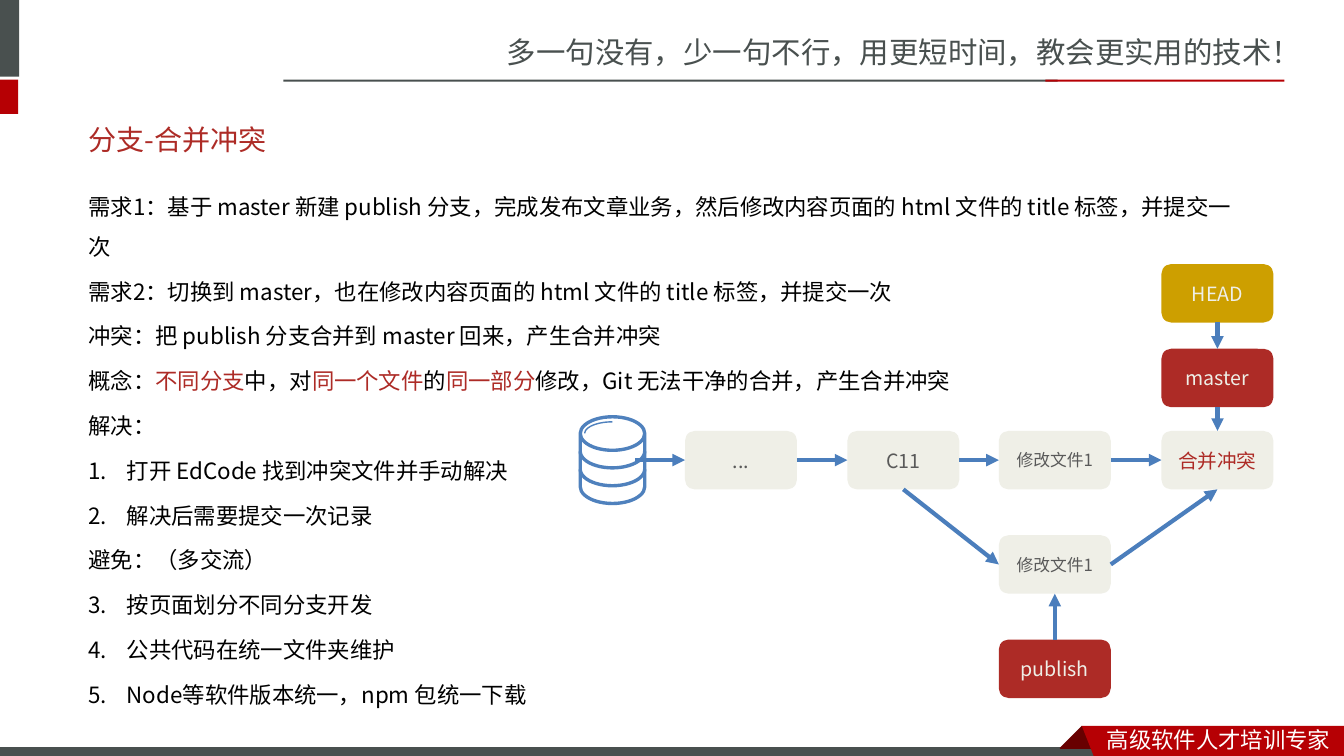
from math import cos, pi, sin
from typing import NamedTuple, Optional

from lxml import etree
from pptx import Presentation
from pptx.dml.color import RGBColor
from pptx.enum.shapes import MSO_CONNECTOR, MSO_SHAPE
from pptx.enum.text import MSO_ANCHOR, PP_ALIGN
from pptx.oxml.ns import qn
from pptx.util import Inches, Pt

RECT, ROUND, CAN = MSO_SHAPE.RECTANGLE, MSO_SHAPE.ROUNDED_RECTANGLE, MSO_SHAPE.CAN
STRAIGHT = MSO_CONNECTOR.STRAIGHT
TOP, MIDDLE = MSO_ANCHOR.TOP, MSO_ANCHOR.MIDDLE
CENTER = PP_ALIGN.CENTER
NORTH, WEST, SOUTH, EAST = range(4)

BLACK = RGBColor(0x00, 0x00, 0x00)
WHITE = RGBColor(0xFF, 0xFF, 0xFF)
SLATE = RGBColor(0x49, 0x50, 0x4F)
RED = RGBColor(0xB6, 0x00, 0x04)
MAROON = RGBColor(0x68, 0x00, 0x00)
BRICK = RGBColor(0xAD, 0x2B, 0x26)
GOLD = RGBColor(0xCD, 0x9F, 0x00)
CREAM = RGBColor(0xEF, 0xEF, 0xE7)
GRAY = RGBColor(0x59, 0x59, 0x59)
BLUE = RGBColor(0x4B, 0x7E, 0xBC)
AZURE = RGBColor(0x4F, 0x81, 0xBD)
FONT_JP, FONT_SC = "Noto Sans CJK JP", "Noto Sans CJK SC"

deck = Presentation()
deck.slide_width, deck.slide_height = Inches(13.33), Inches(7.5)
slide = deck.slides.add_slide(deck.slide_layouts[6])
shapes = slide.shapes


class Area(NamedTuple):
    """Left, top, width and height in percent of the slide."""
    left: float
    top: float
    width: float
    height: float


class Bar(NamedTuple):
    area: Area
    color: RGBColor
    edge: Optional[RGBColor] = None


class Node(NamedTuple):
    text: str
    col: int
    row: int
    fill: RGBColor = CREAM
    ink: RGBColor = GRAY
    size: int = 14


class Link(NamedTuple):
    start: str
    side: int
    end: str
    goal: int


class Line(NamedTuple):
    runs: list[tuple[str, RGBColor]]
    first: int = 0  # number its list starts at, 0 for plain text


def wide(share: float) -> int:
    return round(deck.slide_width * share / 100)


def high(share: float) -> int:
    return round(deck.slide_height * share / 100)


def place(area: Area) -> tuple[int, int, int, int]:
    return wide(area.left), high(area.top), wide(area.width), high(area.height)


def add_run(para, text: str, size: float, color: RGBColor, font: str = FONT_JP) -> None:
    run = para.add_run()
    run.text = text
    run.font.size, run.font.name = Pt(size), font
    run.font.color.rgb = color
    etree.SubElement(run.font._element, qn("a:ea"), typeface=font)


def add_text(area: Area, anchor=TOP):
    frame = shapes.add_textbox(*place(area)).text_frame
    frame.word_wrap, frame.vertical_anchor = True, anchor
    return frame


def paint(shape, fill: Optional[RGBColor], edge: Optional[RGBColor] = None,
          width: float = 0.75):
    shape.shadow.inherit = False
    if fill is None:
        shape.fill.background()
    else:
        shape.fill.solid()
        shape.fill.fore_color.rgb = fill
    if edge is None:
        shape.line.fill.background()
    else:
        shape.line.color.rgb, shape.line.width = edge, Pt(width)
    return shape


def trace(points: list[tuple[float, float]], closed: bool):
    spots = [(wide(x), high(y)) for x, y in points]
    pen = shapes.build_freeform(*spots[0])
    pen.add_line_segments(spots[1:], close=closed)
    return pen.convert_to_shape()


def add_arc(x: float, y: float, rx: float, ry: float, start: float, end: float,
            width: float) -> None:
    turns = [start + (end - start) * i / 24 for i in range(25)]
    arc = trace([(x + rx * cos(t), y + ry * sin(t)) for t in turns], False)
    paint(arc, None, AZURE, width)


def add_arrow(x1: float, y1: float, x2: float, y2: float):
    arrow = shapes.add_connector(STRAIGHT, wide(x1), high(y1), wide(x2), high(y2))
    arrow.line.color.rgb, arrow.line.width = BLUE, Pt(3)
    etree.SubElement(arrow.line._get_or_add_ln(), qn("a:tailEnd"), type="triangle")
    etree.SubElement(arrow._element.spPr, qn("a:effectLst"))
    return arrow


def add_line(para, line: Line) -> None:
    para.line_spacing, para.space_before = 1.5, Pt(3.2)
    if line.first:
        props = para._p.get_or_add_pPr()
        props.set("marL", str(Inches(0.38)))
        props.set("indent", str(-Inches(0.38)))
        etree.SubElement(props, qn("a:buFont"), typeface="+mj-lt")
        etree.SubElement(props, qn("a:buAutoNum"), type="arabicPeriod",
                         startAt=str(line.first))
    for text, color in line.runs:
        add_run(para, text, 16, color)


# Header and footer
slogan = add_text(Area(36.98, 3.8, 63.02, 6.27))
add_run(slogan.paragraphs[0], "多一句没有，少一句不行，用更短时间，教会更实用的技术！",
        21, SLATE, FONT_SC)
BARS = [
    Bar(Area(-0.45, 0, 1.87, 10.13), SLATE),
    Bar(Area(-0.45, 10.53, 1.8, 4.53), RED),
    Bar(Area(21.08, 10.53, 57.61, 0.27), SLATE),
    Bar(Area(77.79, 10.53, 17.78, 0.27), RED),
    Bar(Area(-0.08, 98.8, 82.52, 1.6), SLATE, WHITE),
]
for bar in BARS:
    paint(shapes.add_shape(RECT, *place(bar.area)), bar.color, bar.edge)
FOLD = [(80.49, 96), (82.15, 98.93), (82.07, 99.07), (78.92, 99.07), (78.84, 98.93)]
RIBBON = [(80.49, 96), (100, 96), (100, 100.5), (81.47, 100.4)]
paint(trace(FOLD, True), MAROON)
paint(trace(RIBBON, True), RED)
motto = add_text(Area(81.62, 95.33, 18.38, 4.93))
add_run(motto.paragraphs[0], "高级软件人才培训专家", 16, WHITE, FONT_SC)

# Title and body
title = add_text(Area(5.85, 14.67, 87.92, 7.6), MIDDLE)
add_run(title.paragraphs[0], "分支-合并冲突", 20, BRICK)
LINES = [
    Line([("需求1：基于 master 新建 publish 分支，完成发布文章业务，"
           "然后修改内容页面的 html 文件的 title 标签，并提交一次", BLACK)]),
    Line([("需求2：切换到 master，也在修改内容页面的 html 文件的 title 标签，并提交一次", BLACK)]),
    Line([("冲突：把 publish 分支合并到 master 回来，产生合并冲突", BLACK)]),
    Line([("概念：", BLACK), ("不同分支", BRICK), ("中，对", BLACK),
          ("同一个文件", BRICK), ("的", BLACK), ("同一部分", BRICK),
          ("修改，Git 无法干净的合并，产生合并冲突", BLACK)]),
    Line([("解决：", BLACK)]),
    Line([("打开 EdCode 找到冲突文件并手动解决", BLACK)], 1),
    Line([("解决后需要提交一次记录", BLACK)], 1),
    Line([("避免：（多交流）", BLACK)]),
    Line([("按页面划分不同分支开发", BLACK)], 3),
    Line([("公共代码在统一文件夹维护", BLACK)], 3),
    Line([("Node等软件版本统一，npm 包统一下载", BLACK)], 3),
]
body = add_text(Area(5.85, 23.07, 87.92, 66.4))
for i, line in enumerate(LINES):
    add_line(body.add_paragraph() if i else body.paragraphs[0], line)

# Storage drum
MID, HALF, CROWN, RIM, STEP = 45.57, 2.4, 55.13, 2.2, 2.36
drum = shapes.add_shape(CAN, *place(Area(MID - HALF, CROWN, 2 * HALF, 11.47)))
drum.adjustments[0] = 0.52
paint(drum, None, AZURE, 2.4)
for band in (1, 2):
    add_arc(MID, CROWN + RIM + band * STEP, HALF, RIM, 0, pi, 2.4)
add_arc(MID, CROWN + RIM, 2.06, 1.53, pi, 1.5 * pi, 1)

# Commit graph
COLS = (50.97, 63.05, 74.32, 86.42)
ROWS = (34.93, 46.13, 57, 70.8, 84.6)
WIDTH, HEIGHT = 8.33, 7.73
NODES = {
    "past": Node("...", 0, 2),
    "base": Node("C11", 1, 2),
    "edit": Node("修改文件1", 2, 2, size=12),
    "fork": Node("修改文件1", 2, 3, size=12),
    "merge": Node("合并冲突", 3, 2, ink=BRICK),
    "master": Node("master", 3, 1, BRICK, CREAM),
    "head": Node("HEAD", 3, 0, GOLD, CREAM),
    "publish": Node("publish", 2, 4, BRICK, CREAM),
}
LINKS = [
    Link("head", SOUTH, "master", NORTH), Link("master", SOUTH, "merge", NORTH),
    Link("past", EAST, "base", WEST), Link("base", EAST, "edit", WEST),
    Link("edit", EAST, "merge", WEST), Link("base", SOUTH, "fork", WEST),
    Link("fork", EAST, "merge", SOUTH), Link("publish", NORTH, "fork", SOUTH),
]
boxes = {}
for name, node in NODES.items():
    area = Area(COLS[node.col], ROWS[node.row], WIDTH, HEIGHT)
    box = paint(shapes.add_shape(ROUND, *place(area)), node.fill)
    box.text_frame.vertical_anchor = MIDDLE
    para = box.text_frame.paragraphs[0]
    para.alignment = CENTER
    add_run(para, node.text, node.size, node.ink)
    boxes[name] = box
level = ROWS[2] + HEIGHT / 2
add_arrow(47.26, level, COLS[0], level).end_connect(boxes["past"], WEST)
for link in LINKS:
    arrow = add_arrow(0, 0, 1, 1)
    arrow.begin_connect(boxes[link.start], link.side)
    arrow.end_connect(boxes[link.end], link.goal)

deck.save("out.pptx")
